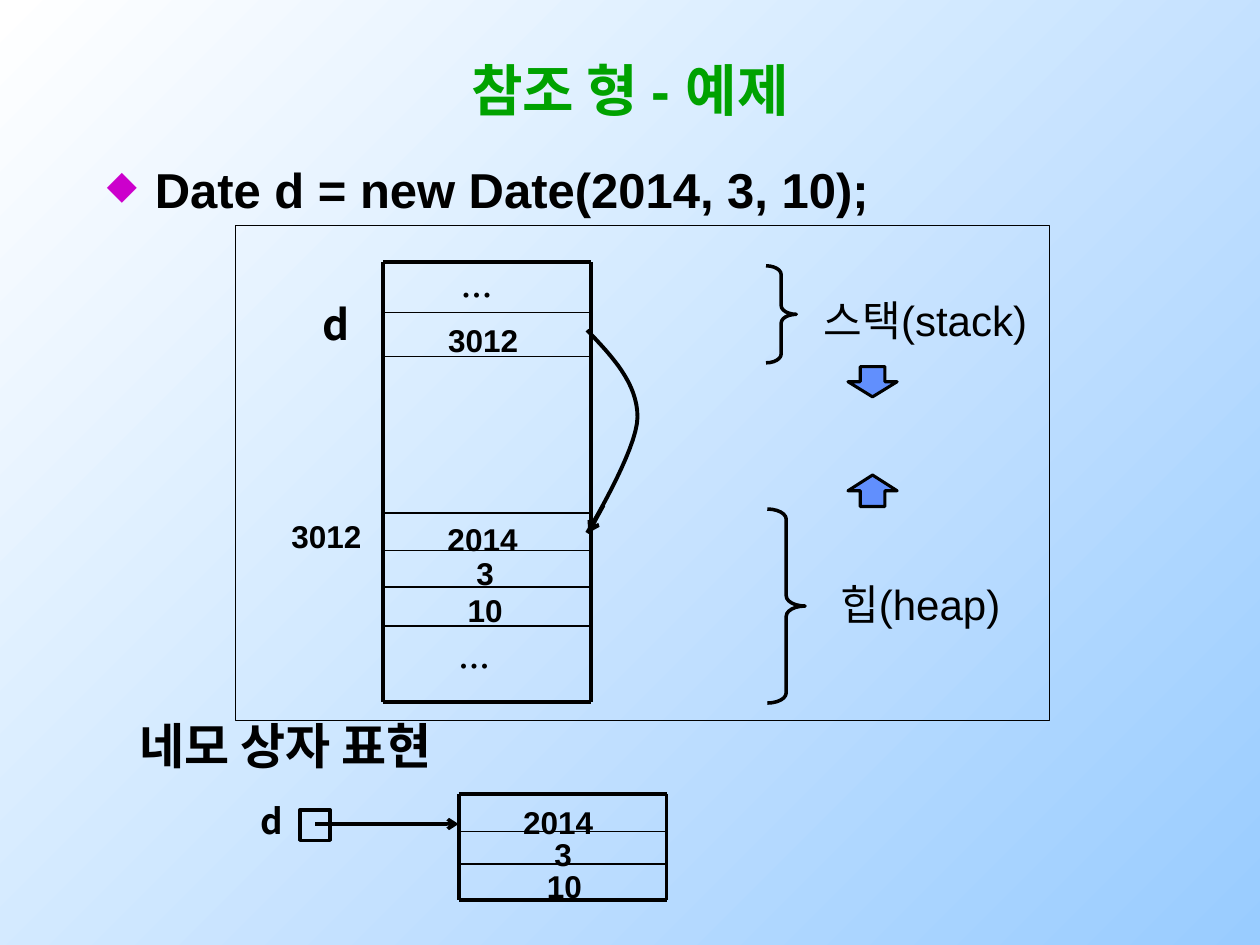
from pptx import Presentation
from pptx.dml.color import RGBColor
from pptx.enum.shapes import MSO_CONNECTOR, MSO_SHAPE
from pptx.enum.text import MSO_ANCHOR, PP_ALIGN
from pptx.oxml.ns import qn
from pptx.util import Inches, Pt
from lxml.etree import SubElement

BLACK, GREEN, PINK, BLUE = "000000", "00A200", "CC00CC", "618FFD"
HANGUL = "Noto Sans CJK KR"
THICK, THIN = 2.25, 1


def paint(code):
    return RGBColor.from_string(code)


def add_run(para, text, size, bold=False, face="Arial", color=BLACK):
    run = para.add_run()
    run.text = text
    font = run.font
    font.size, font.bold, font.name = Pt(size), bold, face
    font.color.rgb = paint(color)
    SubElement(font._element, qn("a:ea"), typeface=HANGUL)


def add_label(slide, text, left, top, width, height, size, wrap=True,
              align=PP_ALIGN.LEFT, **style):
    box = slide.shapes.add_textbox(
        Inches(left), Inches(top), Inches(width), Inches(height))
    box.text_frame.word_wrap = wrap
    para = box.text_frame.paragraphs[0]
    para.alignment = align
    add_run(para, text, size, **style)
    return para


def add_value(slide, text, left, top, width=0.84):
    add_label(slide, text, left, top + 0.02, width, 0.32, 18,
              align=PP_ALIGN.CENTER, bold=True)


def add_bullet(para, sign, color, scale):
    props = para._p.get_or_add_pPr()
    props.set("marL", str(Inches(0.38)))
    props.set("indent", str(Inches(-0.38)))
    tint = SubElement(props, qn("a:buClr"))
    SubElement(tint, qn("a:srgbClr"), val=color)
    SubElement(props, qn("a:buSzPct"), val=str(scale * 1000))
    SubElement(props, qn("a:buChar"), char=sign)


def add_line(slide, start, end, weight, arrow=False):
    line = slide.shapes.add_connector(
        MSO_CONNECTOR.STRAIGHT, *map(Inches, start + end))
    line.line.color.rgb = paint(BLACK)
    line.line.width = Pt(weight)
    if arrow:
        SubElement(line.line._get_or_add_ln(), qn("a:tailEnd"), type="arrow")
    SubElement(line._element.spPr, qn("a:effectLst"))


def style_shape(shape, weight, fill=None):
    shape.shadow.inherit = False
    if fill:
        shape.fill.solid()
        shape.fill.fore_color.rgb = paint(fill)
    else:
        shape.fill.background()
    shape.line.color.rgb = paint(BLACK)
    shape.line.width = Pt(weight)


def add_shape(slide, kind, left, top, width, height, weight, fill=None):
    shape = slide.shapes.add_shape(
        kind, Inches(left), Inches(top), Inches(width), Inches(height))
    style_shape(shape, weight, fill)
    return shape


def add_brace(slide, left, top, width, height, bend):
    brace = add_shape(slide, MSO_SHAPE.RIGHT_BRACE, left, top, width, height, 2)
    brace.adjustments[0] = bend


def add_curve(slide, start, parts, weight, steps=16):
    """Draw cubic curves, each given by two control points and an end."""
    points, first = [], start
    for one, two, last in parts:
        for step in range(1, steps + 1):
            t = step / steps
            u = 1 - t
            points.append(tuple(
                Inches(u**3 * a + 3 * u * u * t * b + 3 * u * t * t * c + t**3 * d)
                for a, b, c, d in zip(first, one, two, last)))
        first = last
    path = slide.shapes.build_freeform(*map(Inches, start))
    path.add_line_segments(points, close=False)
    style_shape(path.convert_to_shape(), weight)


def add_stack(slide, left, right, top, foot, rows):
    """Thick outline with thin lines between the cells."""
    for y in (top, foot):
        add_line(slide, (left, y), (right, y), THICK)
    for x in (left, right):
        add_line(slide, (x, top), (x, foot), THICK)
    for y in rows:
        add_line(slide, (left, y), (right, y), THIN)


def add_title(slide, text):
    title = slide.shapes.title
    title.left, title.top = Inches(0.75), Inches(0.33)
    title.width, title.height = Inches(8.5), Inches(0.75)
    frame = title.text_frame
    frame.vertical_anchor = MSO_ANCHOR.MIDDLE
    frame.paragraphs[0].alignment = PP_ALIGN.CENTER
    add_run(frame.paragraphs[0], text, 32, bold=True, color=GREEN)


def set_back(slide):
    fill = slide.background.fill
    fill.gradient()
    fill.gradient_angle = 315
    for stop, place, code in zip(fill.gradient_stops, (0, 1), ("FFFFFF", "99CCFF")):
        stop.position = place
        stop.color.rgb = paint(code)


def draw_memory(slide):
    add_shape(slide, MSO_SHAPE.RECTANGLE, 1.87, 1.79, 6.46, 3.93, 1)
    add_stack(slide, 3.04, 4.69, 2.08, 5.57, (2.48, 2.83, 4.07, 4.37, 4.66, 4.97))
    add_label(slide, "d", 2.37, 2.32, 0.6, 0.5, 24,
              align=PP_ALIGN.CENTER, bold=True, face=HANGUL)
    add_value(slide, "3012", 3.21, 2.48, 1.25)
    add_value(slide, "3012", 2.17, 4.03)
    for text, left, top in (("2014", 3.41, 4.06), ("3", 3.43, 4.33), ("10", 3.43, 4.62)):
        add_value(slide, text, left, top)
    for left, top in ((3.56, 1.98), (3.54, 4.92)):
        add_label(slide, "...", left, top, 0.71, 0.5, 24, face="Times New Roman")

    # Reference from the stack cell to the heap cell
    add_curve(slide, (4.66, 2.62), (
        ((4.86, 2.83), (5.06, 3.04), (5.06, 3.31)),
        ((5.06, 3.57), (4.66, 4.23), (4.66, 4.23))), THICK)
    add_line(slide, (4.79, 4.01), (4.67, 4.23), THICK, arrow=True)

    # Stack and heap regions with their growth
    add_brace(slide, 6.08, 2.11, 0.24, 0.77, 0.29)
    add_brace(slide, 6.09, 4.04, 0.3, 1.54, 0.27)
    add_label(slide, "스택(stack)", 6.44, 2.29, 1.89, 0.5, 24, wrap=False)
    add_label(slide, "힙(heap)", 6.57, 4.54, 1.55, 0.5, 24, wrap=False)
    add_shape(slide, MSO_SHAPE.DOWN_ARROW, 6.73, 2.91, 0.39, 0.24, 1.75, BLUE)
    add_shape(slide, MSO_SHAPE.UP_ARROW, 6.73, 3.77, 0.39, 0.25, 1.75, BLUE)


def draw_box(slide):
    add_label(slide, "d", 1.97, 6.3, 0.37, 0.44, 20, wrap=False,
              bold=True, face=HANGUL)
    add_shape(slide, MSO_SHAPE.RECTANGLE, 2.38, 6.43, 0.24, 0.24, 2)
    add_stack(slide, 3.64, 5.29, 6.3, 7.14, (6.6, 6.86))
    add_line(slide, (2.5, 6.54), (3.64, 6.54), 2, arrow=True)
    for text, left, top in (("2014", 4.01, 6.3), ("3", 4.05, 6.56), ("10", 4.06, 6.81)):
        add_value(slide, text, left, top)


def main():
    deck = Presentation()
    deck.slide_width, deck.slide_height = Inches(10), Inches(7.5)
    slide = deck.slides.add_slide(deck.slide_layouts[5])
    set_back(slide)

    # Headings
    add_title(slide, "참조 형 - 예제")
    code = add_label(slide, "Date d = new Date(2014, 3, 10);",
                     0.75, 1.22, 8.58, 0.55, 28, bold=True)
    add_bullet(code, "◆", PINK, 80)
    add_label(slide, "네모 상자 표현", 1.01, 5.63, 4, 0.6, 28, bold=True)

    # Diagrams
    draw_memory(slide)
    draw_box(slide)
    deck.save("out.pptx")


if __name__ == "__main__":
    main()
